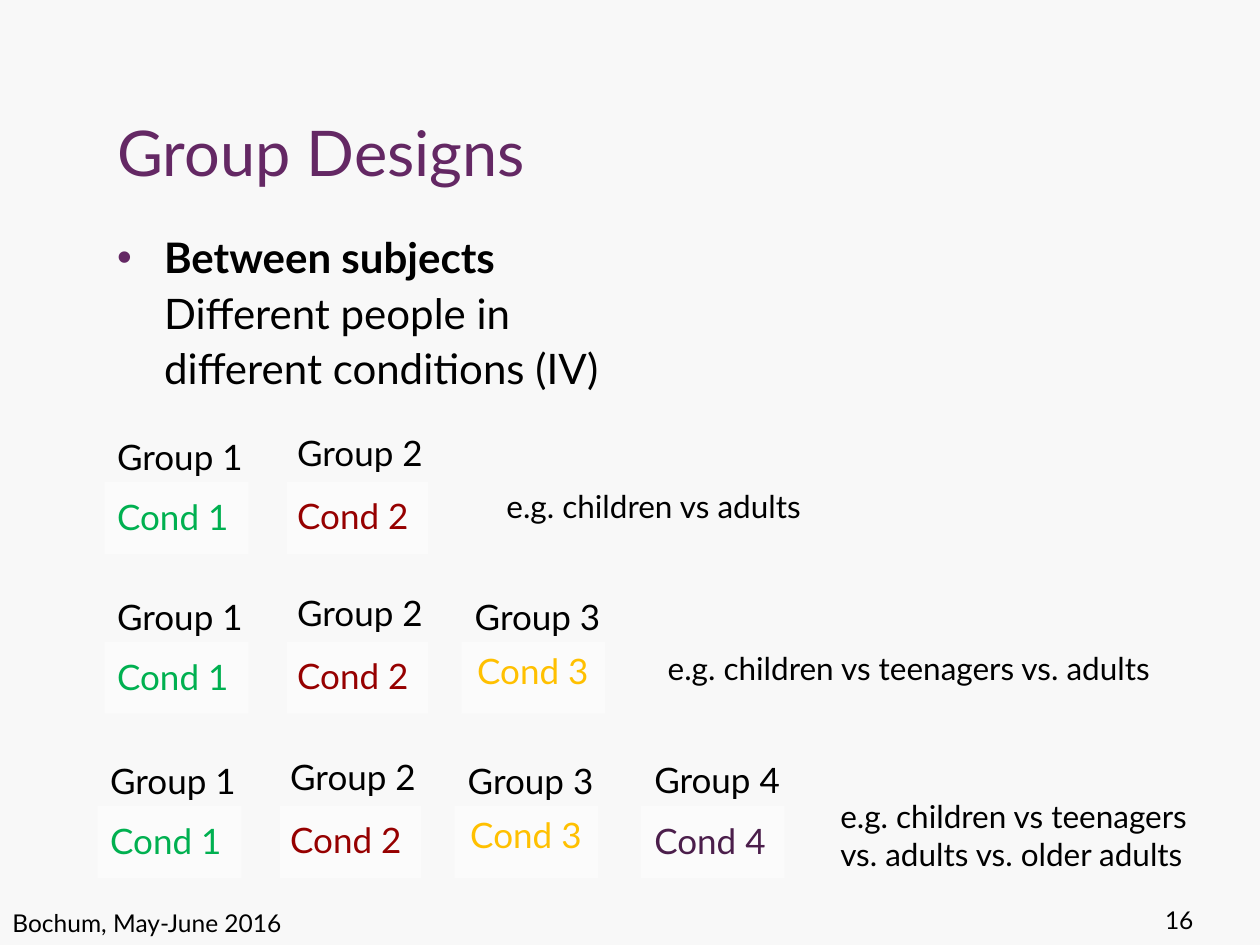
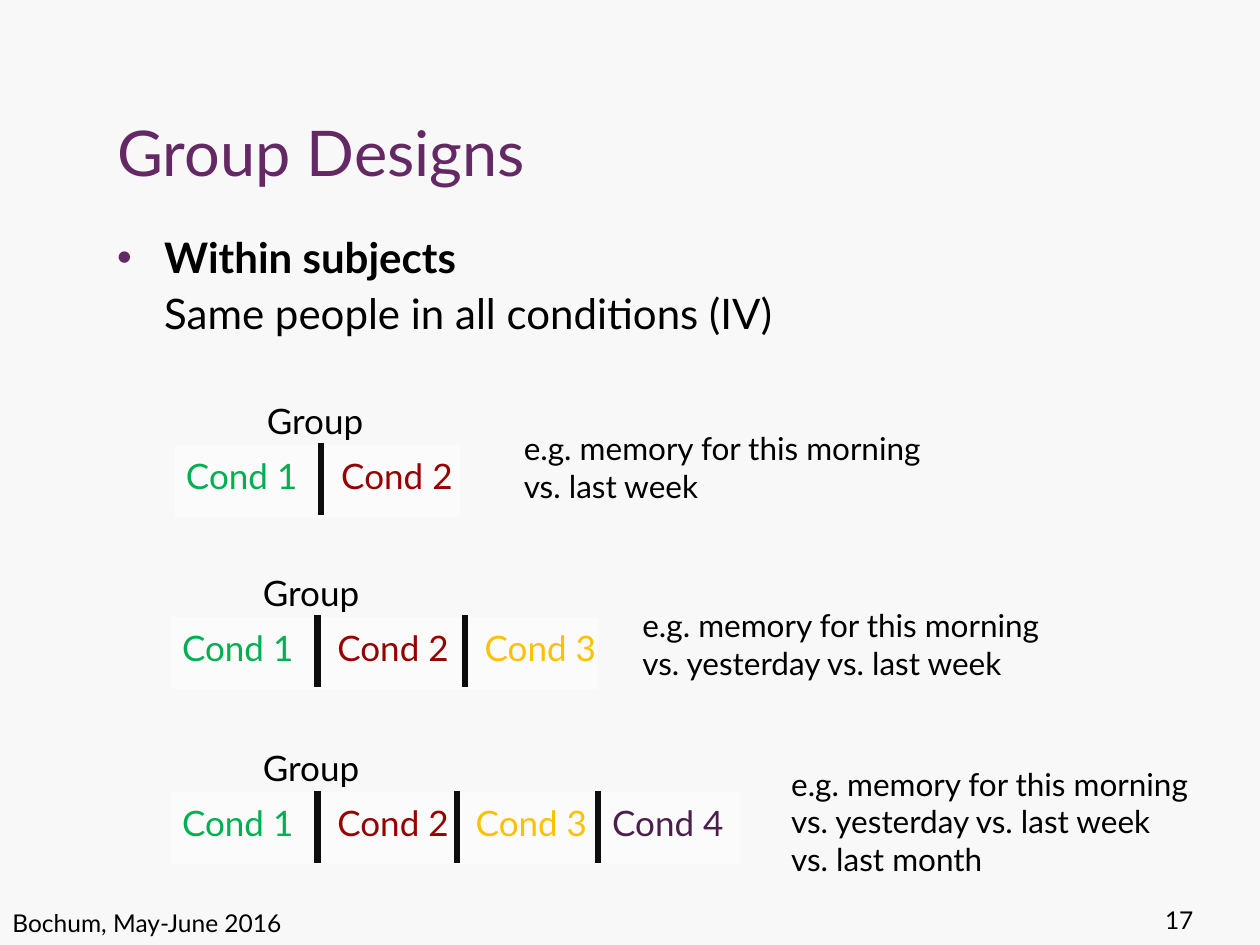
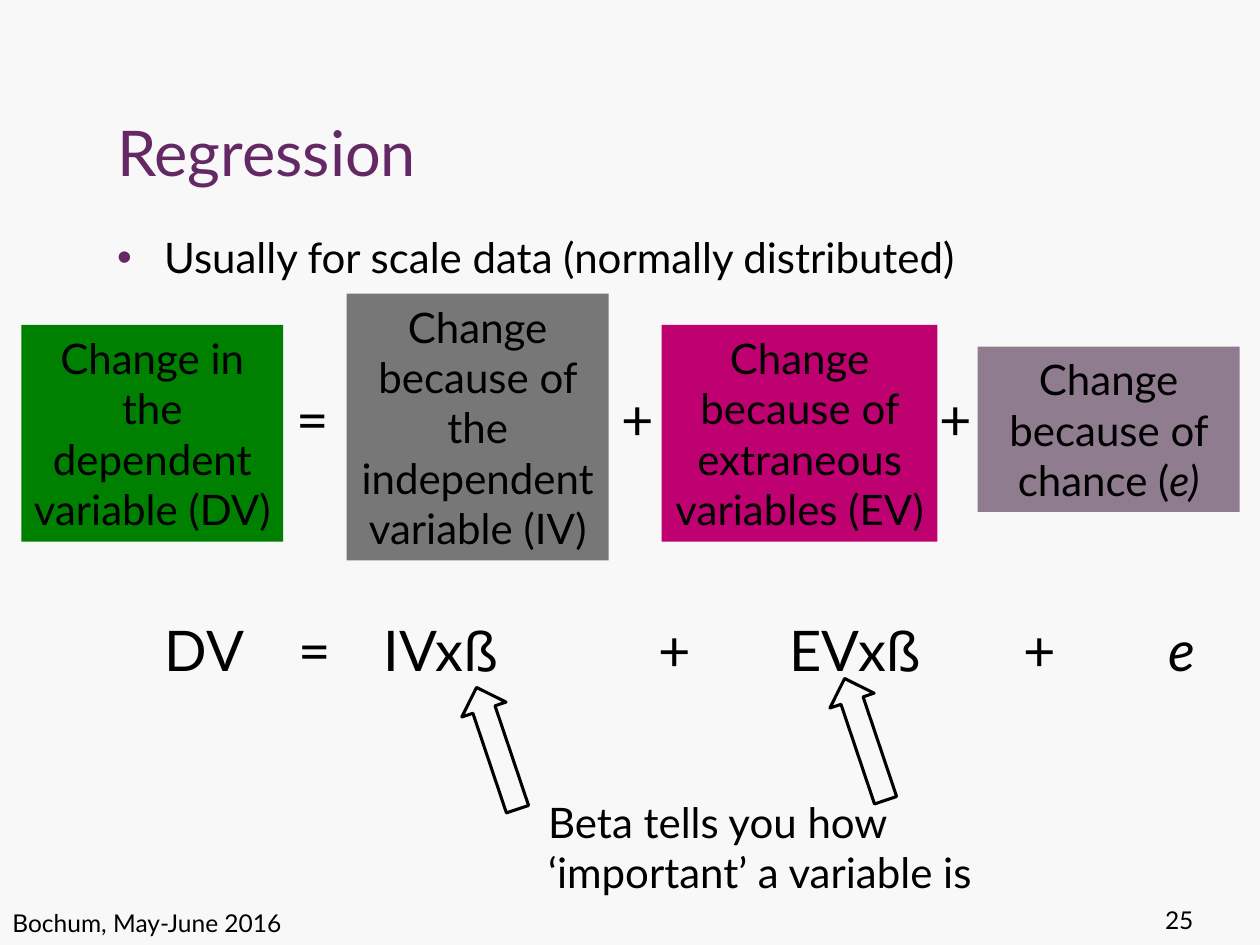
from dataclasses import dataclass

from lxml import etree
from pptx import Presentation
from pptx.dml.color import RGBColor
from pptx.enum.shapes import MSO_CONNECTOR, MSO_SHAPE
from pptx.enum.text import MSO_ANCHOR, MSO_AUTO_SIZE, PP_ALIGN
from pptx.oxml.ns import qn
from pptx.util import Cm, Pt

RECTANGLE, UP_ARROW = MSO_SHAPE.RECTANGLE, MSO_SHAPE.UP_ARROW
STRAIGHT = MSO_CONNECTOR.STRAIGHT
LEFT, CENTER, RIGHT = PP_ALIGN.LEFT, PP_ALIGN.CENTER, PP_ALIGN.RIGHT
BOTTOM, MIDDLE = MSO_ANCHOR.BOTTOM, MSO_ANCHOR.MIDDLE
NO_AUTOFIT = MSO_AUTO_SIZE.NONE
TITLE_ONLY = 5


@dataclass(frozen=True)
class Theme:
    """Colours, fonts and type sizes of the presentation."""

    background: str = "F8F8F8"
    accent: str = "642864"
    ink: str = "000000"
    card: str = "FBFBFB"
    divider: str = "0D0D0D"
    conditions: tuple = ("00B050", "960000", "FFC000", "4B1E4B")
    dependent: str = "008000"
    independent: str = "777777"
    extraneous: str = "BF0071"
    chance: str = "8F7C8F"
    font: str = "Lato"
    beta_font: str = "Courier New"
    title: int = 36
    formula: int = 32
    body: int = 24
    label: int = 20
    note: int = 18
    footer: int = 14


THEME = Theme()


@dataclass(frozen=True)
class GroupColumn:
    """Offsets in cm of one group's card and texts from its row corner."""

    card_left: float
    card_width: float
    label_left: float
    label_top: float
    condition_left: float
    condition_top: float


GROUP_COLUMNS = (
    GroupColumn(0, 2.9, 0, -1.07, 0, 0.15),
    GroupColumn(3.68, 2.84, 3.63, -1.14, 3.63, 0.13),
    GroupColumn(7.19, 2.9, 7.21, -1.07, 7.26, 0.03),
    GroupColumn(10.95, 2.9, 10.97, -1.09, 10.97, 0.15),
)
CARD_HEIGHT = 1.45
CELL_WIDTH = 2.87


def rgb(code):
    """Turn a hex code into a colour."""
    return RGBColor.from_string(code)


def format_runs(paragraph, size, color=THEME.ink):
    """Give every run of a paragraph the theme font, a size and a colour."""
    for run in paragraph.runs:
        run.font.name = THEME.font
        run.font.size = Pt(size)
        run.font.color.rgb = rgb(color)


def add_text(shapes, text, box, size, color=THEME.ink, align=LEFT):
    """Add a wrapping text box and return its paragraph."""
    frame = shapes.add_textbox(*map(Cm, box)).text_frame
    frame.word_wrap = True
    paragraph = frame.paragraphs[0]
    paragraph.text = text
    paragraph.alignment = align
    format_runs(paragraph, size, color)
    return paragraph


def add_card(shapes, box, color):
    """Add a plain filled rectangle without an outline."""
    card = shapes.add_shape(RECTANGLE, *map(Cm, box))
    card.shadow.inherit = False
    card.fill.solid()
    card.fill.fore_color.rgb = rgb(color)
    card.line.fill.background()
    return card


def add_divider(shapes, x, top):
    """Add a thick vertical line between two conditions."""
    divider = shapes.add_connector(
        STRAIGHT, Cm(x), Cm(top), Cm(x), Cm(top + CARD_HEIGHT))
    divider.line.color.rgb = rgb(THEME.divider)
    divider.line.width = Pt(3.5)
    etree.SubElement(divider.element.spPr, qn("a:effectLst"))


def add_condition(shapes, index, left, top):
    """Add the coloured name of a condition."""
    add_text(shapes, f"Cond {index + 1}", (left, top, 3.5, 1.12),
             THEME.label, THEME.conditions[index])


def add_note(shapes, text, left, top):
    """Add an example beside a row."""
    height = 1.02 + 0.77 * text.count("\v")
    add_text(shapes, text, (left, top, 12.14, height), THEME.note)


def add_bullet(shapes, text):
    """Add the bulleted body text and return its paragraph."""
    paragraph = add_text(shapes, text, (2.11, 4.45, 22.02, 12.07), THEME.body)
    paragraph.line_spacing = 1.1
    paragraph.space_before = Pt(4.8)
    properties = paragraph._p.get_or_add_pPr()
    properties.set("marL", str(Cm(0.95)))
    properties.set("indent", str(-Cm(0.95)))
    bullet_color = etree.SubElement(properties, qn("a:buClr"))
    etree.SubElement(bullet_color, qn("a:srgbClr"), val=THEME.accent)
    etree.SubElement(properties, qn("a:buFont"), typeface="Arial")
    etree.SubElement(properties, qn("a:buChar"), char="\u2022")
    return paragraph


def add_slide(deck, title, number):
    """Add a slide with its title, footer and page number."""
    slide = deck.slides.add_slide(deck.slide_layouts[TITLE_ONLY])
    heading = slide.shapes.title
    heading.left, heading.top, heading.width, heading.height = map(
        Cm, (2.11, 0.76, 17.2, 3.18))
    frame = heading.text_frame
    frame.text = title
    frame.word_wrap = True
    frame.auto_size = NO_AUTOFIT
    frame.vertical_anchor = BOTTOM
    frame.paragraphs[0].alignment = LEFT
    format_runs(frame.paragraphs[0], THEME.title, THEME.accent)
    add_text(slide.shapes, "Bochum, May-June 2016", (0, 18.19, 17.6, 1.32),
             THEME.footer)
    add_text(slide.shapes, str(number), (22.43, 18.11, 1.88, 1.32),
             THEME.footer, align=RIGHT)
    return slide


def add_between_row(slide, left, top, count):
    """Add a row in which every group has its own condition."""
    shapes = slide.shapes.add_group_shape().shapes
    for index, column in enumerate(GROUP_COLUMNS[:count]):
        add_card(shapes, (left + column.card_left, top, column.card_width,
                          CARD_HEIGHT), THEME.card)
        add_text(shapes, f"Group {index + 1}",
                 (left + column.label_left, top + column.label_top, 3.23, 1.12),
                 THEME.label)
        add_condition(shapes, index, left + column.condition_left,
                      top + column.condition_top)


def add_within_row(slide, left, top, dividers, conditions):
    """Add a row in which one group goes through all conditions."""
    shapes = slide.shapes.add_group_shape().shapes
    add_card(shapes, (left, top, 2 * CELL_WIDTH, CARD_HEIGHT), THEME.card)
    for index in range(2, len(conditions)):
        add_card(shapes, (left + index * CELL_WIDTH, top, CELL_WIDTH,
                          CARD_HEIGHT), THEME.card)
    add_text(shapes, "Group", (left + 1.6, top - 1.05, 3.1, 1.12), THEME.label)
    for offset in dividers:
        add_divider(shapes, left + offset, top - 0.04)
    for index, offset in enumerate(conditions):
        add_condition(shapes, index, left + offset, top + 0.06)


def add_term(shapes, text, box, color):
    """Add one coloured term of the regression and return its paragraph."""
    frame = add_card(shapes, box, color).text_frame
    frame.word_wrap = True
    frame.vertical_anchor = MIDDLE
    frame.margin_left = frame.margin_right = Cm(0.2)
    paragraph = frame.paragraphs[0]
    paragraph.text = text
    paragraph.alignment = CENTER
    format_runs(paragraph, THEME.body)
    return paragraph


def add_italic(paragraph, text, size):
    """Append an italic run to a paragraph."""
    paragraph.add_run().text = text
    format_runs(paragraph, size)
    paragraph.runs[-1].font.italic = True


def add_equation(shapes):
    """Add the regression equation, spaced by tab stops."""
    equation = add_text(shapes, "", (3.07, 12.29, 22.81, 1.63), THEME.formula)
    for part in ("DV\t=\tIVx", "ß", "\t+\tEVx", "ß", "\t+\t"):
        equation.add_run().text = part
    add_italic(equation, "e", THEME.formula)
    for run in equation.runs:
        if run.text == "ß":
            run.font.name = THEME.beta_font
    stops = etree.SubElement(equation._p.get_or_add_pPr(), qn("a:tabLst"))
    for position in (2.69, 4.42, 9.96, 12.6, 17.32, 20.24):
        etree.SubElement(stops, qn("a:tab"), pos=str(Cm(position)), algn="l")


def add_beta_arrow(shapes, left, top):
    """Add a tilted outline arrow that points at a beta."""
    arrow = shapes.add_shape(UP_ARROW, Cm(left), Cm(top), Cm(0.94), Cm(2.59))
    arrow.shadow.inherit = False
    arrow.rotation = 341.4
    arrow.fill.background()
    arrow.line.color.rgb = rgb(THEME.ink)
    arrow.line.width = Pt(1.75)


def build_between(deck):
    """Build the slide on between-subjects designs."""
    slide = add_slide(deck, "Group Designs", 16)
    body = add_bullet(slide.shapes, "Between subjects\vDifferent people in"
                                    "\vdifferent conditions (IV)")
    body.runs[0].font.bold = True
    for count, (left, top) in enumerate(
            ((2.11, 9.72), (2.11, 12.94), (1.97, 16.25)), start=2):
        add_between_row(slide, left, top, count)
    for text, left, top in (
            ("e.g. children vs adults", 9.96, 9.7),
            ("e.g. children vs teenagers vs. adults", 13.21, 12.95),
            ("e.g. children vs teenagers\vvs. adults vs. older adults",
             16.69, 15.95)):
        add_note(slide.shapes, text, left, top)


def build_within(deck):
    """Build the slide on within-subjects designs."""
    slide = add_slide(deck, "Group Designs", 17)
    body = add_bullet(slide.shapes,
                      "Within subjects\vSame people in all conditions (IV)")
    body.runs[0].font.bold = True
    for left, top, dividers, conditions in (
            (3.53, 8.97, (2.95,), (-0.03, 3.1)),
            (3.45, 12.44, (2.95, 5.92), (-0.03, 3.1, 6.07)),
            (3.45, 15.98, (2.95, 5.77, 8.61), (-0.03, 3.1, 5.89, 8.64))):
        add_within_row(slide, left, top, dividers, conditions)
    opening = "e.g. memory for this morning\vvs. "
    for ending, left, top in (
            ("last week", 10.31, 8.53),
            ("yesterday vs. last week", 12.7, 12.09),
            ("yesterday vs. last week\vvs. last month", 15.7, 15.29)):
        add_note(slide.shapes, opening + ending, left, top)


def build_regression(deck):
    """Build the slide on regression."""
    slide = add_slide(deck, "Regression", 25)
    shapes = slide.shapes
    add_bullet(shapes, "Usually for scale data (normally distributed)")
    add_term(shapes, "Change in the dependent variable (DV)",
             (0.43, 6.55, 5.28, 4.37), THEME.dependent)
    add_term(shapes, "Change because of the independent variable (IV)",
             (6.99, 5.92, 5.28, 5.38), THEME.independent)
    add_term(shapes, "Change because of extraneous variables (EV)",
             (13.34, 6.55, 5.56, 4.37), THEME.extraneous)
    chance = add_term(shapes, "Change because of chance (",
                      (19.71, 6.99, 5.28, 3.33), THEME.chance)
    add_italic(chance, "e)", THEME.body)
    for sign, left in (("=", 5.72), ("+", 12.27), ("+", 18.69)):
        add_text(shapes, sign, (left, 7.62, 2.11, 1.63), THEME.formula)
    add_equation(shapes)
    explanation = shapes.add_group_shape().shapes
    add_beta_arrow(explanation, 9.55, 13.79)
    add_beta_arrow(explanation, 16.97, 13.61)
    add_text(explanation, "Beta tells you how ‘important’ a variable is",
             (10.8, 15.93, 9.2, 2.31), THEME.body)


def main():
    """Build the three slides and save them."""
    deck = Presentation()
    deck.slide_width, deck.slide_height = Cm(25.4), Cm(19.05)
    backdrop = deck.slide_master.background.fill
    backdrop.solid()
    backdrop.fore_color.rgb = rgb(THEME.background)
    build_between(deck)
    build_within(deck)
    build_regression(deck)
    deck.save("out.pptx")


main()
